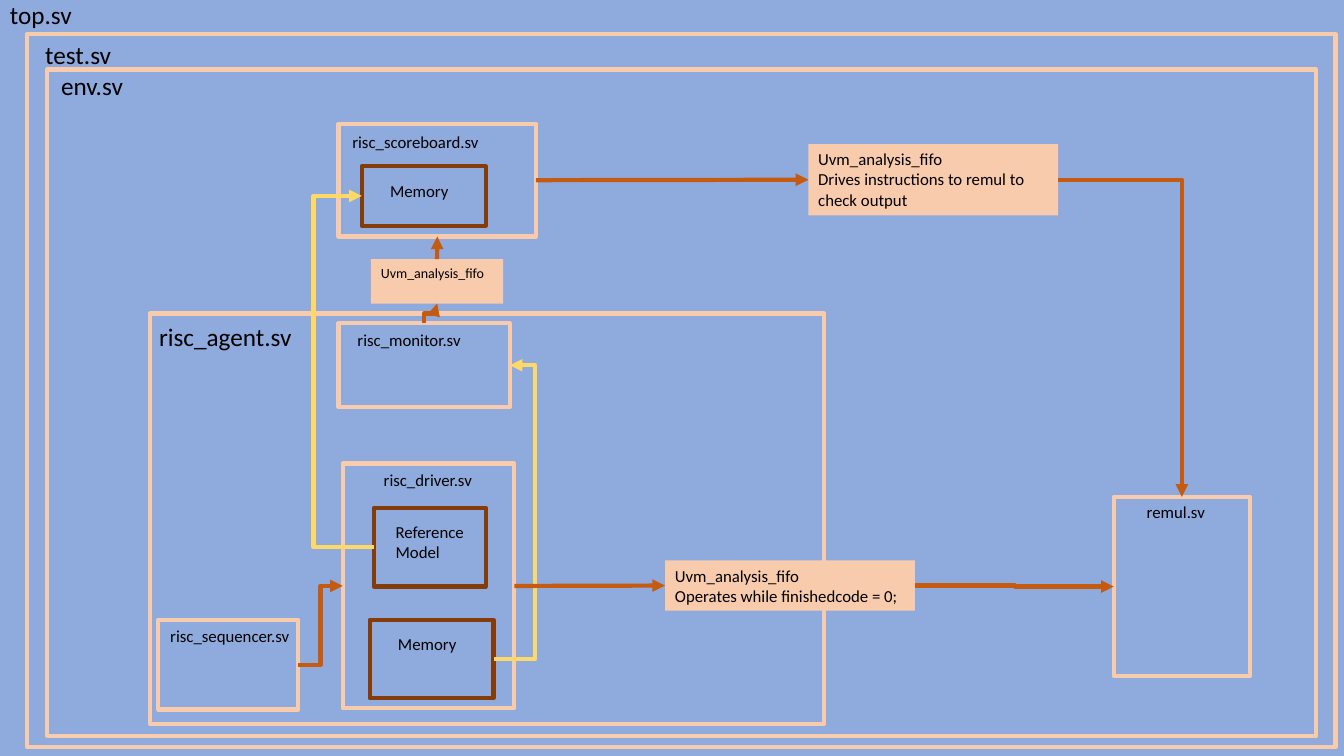
import pptx
import pptx.util
import pptx.dml.color
import pptx.enum.shapes
import pptx.oxml
import pptx.oxml.ns
from pptx.util import Cm

COLORS = {"back": "8FAADC", "peach": "F8CBAD", "brown": "843C0B",
          "rust": "C55A11", "gold": "FFD966", "text": "000000"}
KINDS = pptx.enum.shapes.MSO_CONNECTOR


def color(name):
    return pptx.dml.color.RGBColor.from_string(COLORS[name])


def write(shape, text, size):
    frame = shape.text_frame
    frame.word_wrap = True
    frame.vertical_anchor = pptx.enum.text.MSO_ANCHOR.TOP
    frame.text = text
    for line in frame.paragraphs:
        line.alignment = pptx.enum.text.PP_ALIGN.LEFT
        line.font.name = "Calibri"
        line.font.size = pptx.util.Pt(size)
        line.font.color.rgb = color("text")


def label(slide, x, y, text, size=12):
    width = 4.7 if size == 12 else 4.5
    box = slide.shapes.add_textbox(Cm(x), Cm(y), Cm(width), Cm(0.8))
    write(box, text, size)


def rect(slide, box):
    shape = slide.shapes.add_shape(
        pptx.enum.shapes.MSO_SHAPE.RECTANGLE, *[Cm(v) for v in box])
    shape.shadow.inherit = False
    return shape


def frame(slide, box, text, dx, dy, size=12, edge="peach"):
    """Draw an outlined box with its label at (dx, dy) inside; return the box."""
    shape = rect(slide, box)
    shape.fill.background()
    shape.line.color.rgb = color(edge)
    shape.line.width = pptx.util.Pt(3)
    label(slide, box[0] + dx, box[1] + dy, text, size)
    return box


def fifo(slide, box, note="", size=12):
    shape = rect(slide, box)
    shape.fill.solid()
    shape.fill.fore_color.rgb = color("peach")
    shape.line.fill.background()
    write(shape, "Uvm_analysis_fifo" + note, size)
    return box


def side(box, name):
    """Return the middle of one side of a box."""
    x, y, w, h = box
    return {"left": (x, y + h / 2), "right": (x + w, y + h / 2),
            "top": (x + w / 2, y), "bottom": (x + w / 2, y + h)}[name]


def arrow(slide, start, end, tint="rust", kind=KINDS.STRAIGHT):
    line = slide.shapes.add_connector(kind, *[Cm(v) for v in start + end])
    line.line.color.rgb = color(tint)
    line.line.width = pptx.util.Pt(3)
    props = line._element.spPr
    tail = pptx.oxml.parse_xml(
        f'<a:tailEnd {pptx.oxml.ns.nsdecls("a")} type="triangle"/>')
    line.line._get_or_add_ln().append(tail)
    props.append(pptx.oxml.parse_xml(
        f'<a:effectLst {pptx.oxml.ns.nsdecls("a")}/>'))
    return props


def bend(slide, start, end, via, tint="rust"):
    """Draw an arrow that runs level to x = via, then up or down, then level."""
    props = arrow(slide, start, end, tint, KINDS.ELBOW)
    ratio = round((via - start[0]) / (end[0] - start[0]) * 100000)
    guides = props.prstGeom.get_or_add_avLst()
    guides.append(pptx.oxml.parse_xml(
        f'<a:gd {pptx.oxml.ns.nsdecls("a")} name="adj1" fmla="val {ratio}"/>'))


def step(slide, start, end):
    """Draw an arrow that goes up, across and up again."""
    midx, midy = (start[0] + end[0]) / 2, (start[1] + end[1]) / 2
    rise, run = (start[1] - end[1]) / 2, (end[0] - start[0]) / 2
    props = arrow(slide, (midx + rise, midy + run),
                  (midx - rise, midy - run), kind=KINDS.ELBOW)
    props.xfrm.set("rot", "5400000")


def corner(slide, start, end):
    """Draw an arrow that runs level and then turns down."""
    props = arrow(slide, start, end, kind=KINDS.ELBOW)
    props.prstGeom.set("prst", "bentConnector2")


def shells(slide):
    label(slide, 0, -0.15, "top.sv", 18)
    frame(slide, (0.69, 0.86, 32.97, 17.96), "test.sv", 0.2, 0, 18)
    frame(slide, (1.19, 1.75, 31.98, 16.79), "env.sv", 0.1, -0.1, 18)


def score(slide, x, y):
    board = frame(slide, (x, y, 4.98, 2.84), "risc_scoreboard.sv", 0.1, 0.08)
    store = frame(slide, (x + 0.59, y + 1.07, 3.12, 1.5), "Memory",
                  0.46, 0.25, edge="brown")
    return board, store


def driver(slide, x, y):
    outer = frame(slide, (x, y, 4.32, 6.17), "risc_driver.sv", 0.78, 0.03)
    model = frame(slide, (x + 0.78, y + 1.12, 2.82, 1.98),
                  "Reference\nModel", 0.3, 0.23, edge="brown")
    store = frame(slide, (x + 0.68, y + 3.94, 3.12, 1.98), "Memory",
                  0.46, 0.23, edge="brown")
    return outer, model, store


def agent(slide, x, y):
    """Draw the agent; return its monitor and the driver's model."""
    frame(slide, (x, y, 16.99, 10.34), "risc_agent.sv", -0.02, 0.08, 18)
    queue = frame(slide, (x + 0.21, y + 7.72, 3.53, 2.26),
                  "risc_sequencer.sv", 0.05, 0.03)
    watch = frame(slide, (x + 4.75, y + 0.25, 4.32, 2.11),
                  "risc_monitor.sv", 0.23, 0.03)
    drive, model, store = driver(slide, x + 4.86, y + 3.78)
    bend(slide, side(queue, "right"), side(drive, "left"), x + 4.3)
    bend(slide, side(store, "right"), side(watch, "right"), x + 9.71, "gold")
    return watch, drive, model


def main():
    deck = pptx.Presentation()
    deck.slide_width, deck.slide_height = Cm(33.87), Cm(19.05)
    slide = deck.slides.add_slide(deck.slide_layouts[6])
    slide.background.fill.solid()
    slide.background.fill.fore_color.rgb = color("back")

    shells(slide)
    watch, drive, model = agent(slide, 3.78, 7.9)
    board, store = score(slide, 8.53, 3.12)
    remul = frame(slide, (28.07, 12.52, 3.43, 4.52), "remul.sv", 0.58, 0)
    link = fifo(slide, (9.35, 6.53, 3.33, 1.12), size=10)
    run = fifo(slide, (16.76, 14.12, 6.3, 1.27),
               "\nOperates while finishedcode = 0;")
    check = fifo(slide, (20.37, 3.63, 6.3, 1.8),
                 "\nDrives instructions to remul to check output")

    step(slide, side(watch, "top"), side(link, "bottom"))
    arrow(slide, side(link, "top"), side(board, "bottom"))
    bend(slide, side(model, "left"), side(store, "left"), 7.9, "gold")
    arrow(slide, side(drive, "right"), side(run, "left"))
    bend(slide, side(run, "right"), side(remul, "left"), 25.57)
    arrow(slide, side(board, "right"), side(check, "left"))
    corner(slide, side(check, "right"), side(remul, "top"))
    deck.save("out.pptx")


if __name__ == "__main__":
    main()
